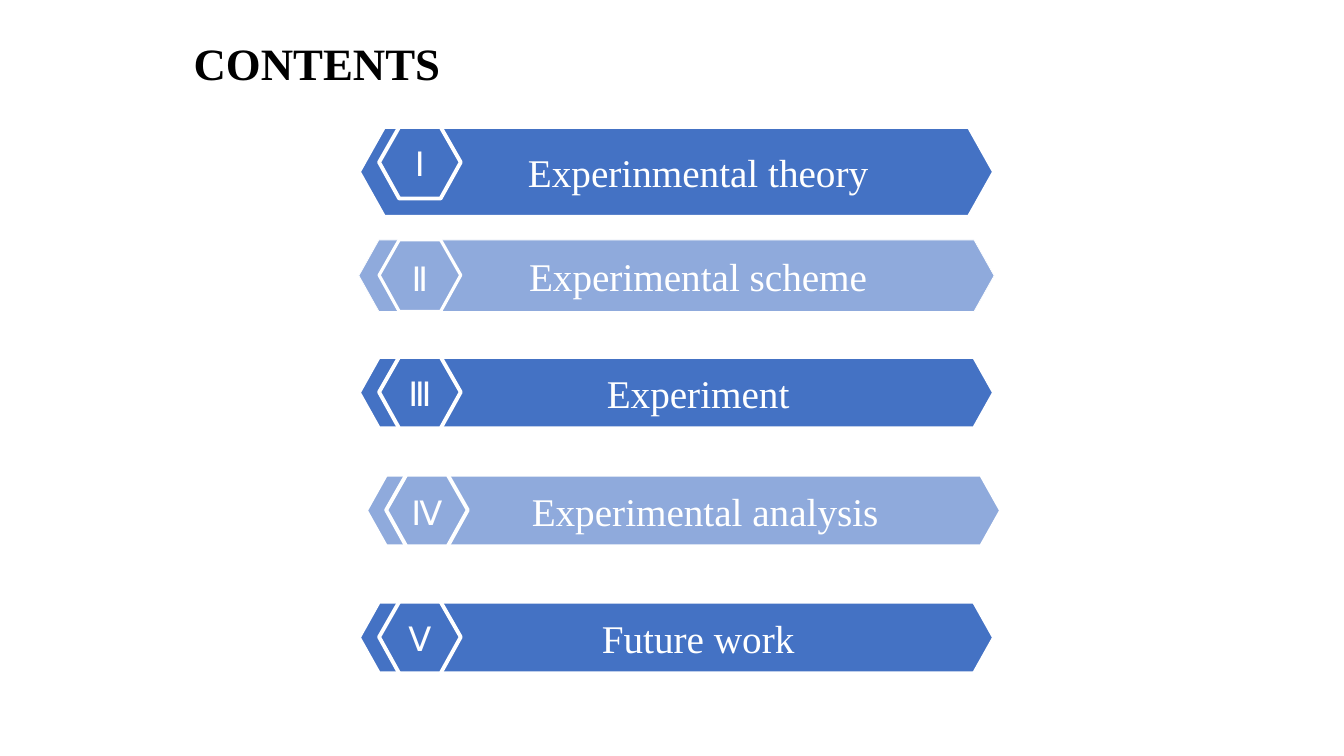
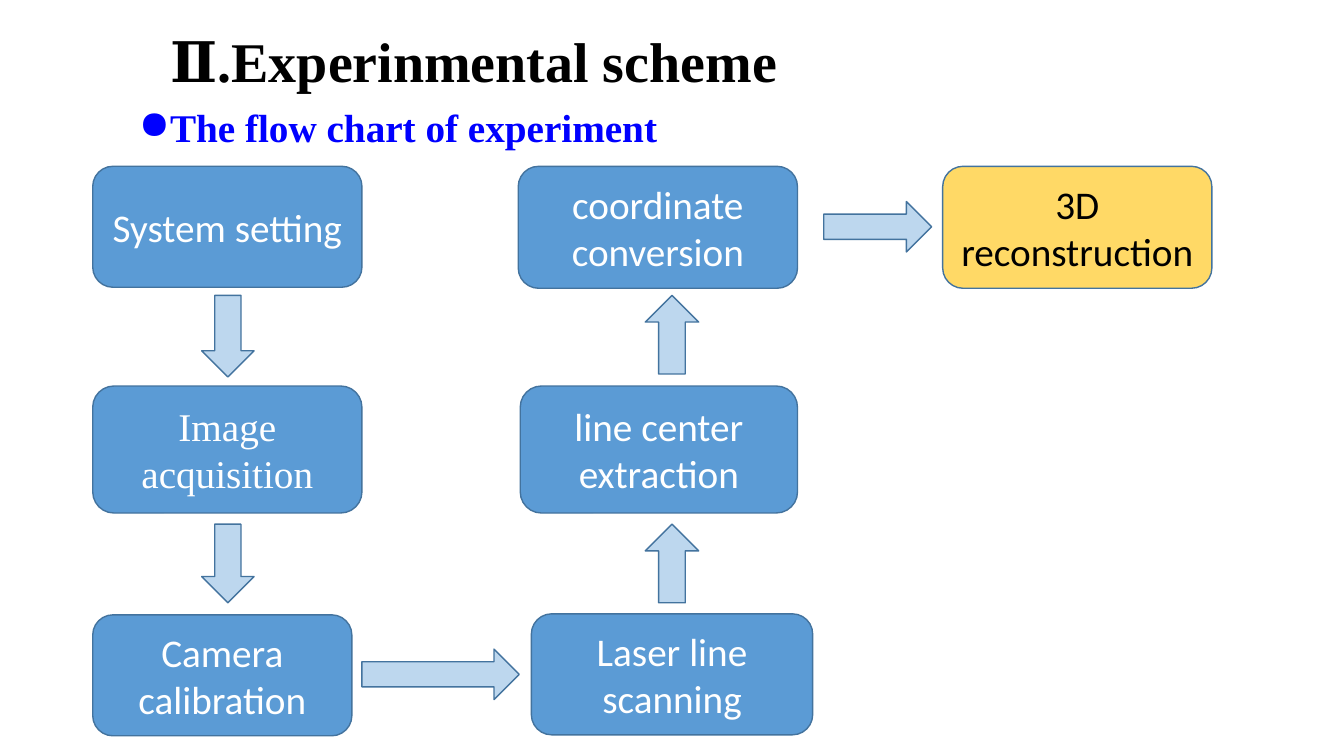
from typing import NamedTuple

from lxml.etree import SubElement
from pptx import Presentation
from pptx.dml.color import RGBColor
from pptx.enum.shapes import MSO_SHAPE as Preset
from pptx.enum.text import MSO_ANCHOR as Anchor, MSO_AUTO_SIZE as AutoSize, PP_ALIGN as Align
from pptx.oxml.ns import qn
from pptx.util import Emu, Pt

# Shared scale, fonts and colours
PX = 9144  # one px is a hundredth of an inch
SERIF, SANS = "Times New Roman", "Calibri"
WHITE, BLACK, BULLET_BLUE = "FFFFFF", "000000", "0000FF"
DARK_BAND, LIGHT_BAND = "4472C4", "8FAADC"
STEP_BLUE, RESULT_YELLOW, ARROW_BLUE, OUTLINE = "5B9BD5", "FFD966", "BDD7EE", "43739E"


class Chapter(NamedTuple):
    numeral: str
    name: str
    top: int
    left: int = 356
    height: int = 71
    band_line: float = 2.75
    badge_line: float = 2.75


class Step(NamedTuple):
    text: str
    left: int
    top: int
    width: int
    height: int
    fill: str = STEP_BLUE
    color: str = WHITE
    font: str = SANS


class Arrow(NamedTuple):
    preset: Preset
    left: int
    top: int
    width: int
    height: int


CHAPTERS = [
    Chapter("Ⅰ", "Experinmental theory", 126, height=89),
    Chapter("Ⅱ", "Experimental scheme", 238, band_line=0.5, badge_line=2.25),
    Chapter("Ⅲ", "Experiment", 354),
    Chapter("Ⅳ", "Experimental analysis", 471, left=363),
    Chapter("Ⅴ", "Future work", 597),
]

STEPS = [
    Step("System setting", 92, 165, 267, 120),
    Step("Image acquisition", 92, 383, 267, 126, font=SERIF),
    Step("Camera calibration", 92, 610, 257, 120),
    Step("Laser line scanning", 527, 609, 279, 120),
    Step("line center extraction", 516, 383, 275, 126),
    Step("coordinate conversion", 514, 165, 277, 121),
    Step("3D reconstruction", 935, 165, 267, 121, RESULT_YELLOW, BLACK),
]

ARROWS = [
    Arrow(Preset.DOWN_ARROW, 200, 293, 52, 81),
    Arrow(Preset.DOWN_ARROW, 200, 520, 52, 78),
    Arrow(Preset.RIGHT_ARROW, 359, 644, 156, 50),
    Arrow(Preset.UP_ARROW, 640, 520, 53, 78),
    Arrow(Preset.UP_ARROW, 640, 293, 53, 78),
    Arrow(Preset.RIGHT_ARROW, 817, 200, 107, 50),
]


def px(*lengths: int) -> list[Emu]:
    return [Emu(length * PX) for length in lengths]


def rgb(color: str) -> RGBColor:
    return RGBColor.from_string(color)


def write(shape, text: str, *, size: int = 28, font: str = SERIF, color: str = WHITE,
          bold: bool = False, align: Align = Align.CENTER, anchor: Anchor = Anchor.MIDDLE,
          insets: tuple[int, int, int, int] = (10, 5, 10, 5), spacing: float = 1.0,
          wrap: bool = True, bullet: str = "", indent: int = 0) -> None:
    frame = shape.text_frame
    frame.auto_size = AutoSize.NONE
    frame.word_wrap, frame.vertical_anchor = wrap, anchor
    (frame.margin_left, frame.margin_top,
     frame.margin_right, frame.margin_bottom) = px(*insets)
    frame.text = text
    paragraph = frame.paragraphs[0]
    paragraph.alignment, paragraph.line_spacing = align, spacing
    if bullet:
        properties = paragraph._p.get_or_add_pPr()
        properties.set("marL", str(indent * PX))
        properties.set("indent", str(-indent * PX))
        SubElement(properties, qn("a:buChar")).set("char", bullet)
    style = paragraph.runs[0].font
    style.name, style.size, style.bold = font, Pt(size), bold
    style.color.rgb = rgb(color)


def paint(shape, fill: str, line: str, width: float) -> None:
    shape.shadow.inherit = False
    shape.fill.solid()
    shape.fill.fore_color.rgb = rgb(fill)
    shape.line.color.rgb = rgb(line)
    shape.line.width = Pt(width)


def add_titled_slide(deck, title: str, left: int, top: int, size: int):
    slide = deck.slides.add_slide(deck.slide_layouts[5])
    heading = slide.shapes.title
    heading.left, heading.top, heading.width, heading.height = px(left, top, 631, 72)
    write(heading, title, size=size, color=BLACK, bold=True, align=Align.LEFT,
          anchor=Anchor.TOP, wrap=False)
    return slide


def draw_chapter(slide, chapter: Chapter, fill: str, numeral_spacing: float) -> None:
    row = slide.shapes.add_group_shape().shapes
    band = row.add_shape(Preset.HEXAGON, *px(chapter.left, chapter.top, 630, chapter.height))
    band.adjustments[0] = 0.28
    paint(band, fill, WHITE, chapter.band_line)
    write(band, chapter.name, insets=(51, 0, 8, 0))

    # Numeral badge: a hexagon 81 wide and 71 high
    left, top = chapter.left + 20, chapter.top
    corners = [(left + x, top + y) for x, y in
               [(20, 0), (61, 0), (81, 35), (61, 71), (20, 71), (0, 35)]]
    outline = row.build_freeform(*corners[0], scale=PX)
    outline.add_line_segments(corners[1:], close=True)
    badge = outline.convert_to_shape()
    paint(badge, fill, WHITE, chapter.badge_line)
    write(badge, chapter.numeral, size=24, font=SANS, insets=(0, 0, 0, 0),
          spacing=numeral_spacing)


def draw_step(slide, step: Step) -> None:
    box = slide.shapes.add_shape(Preset.FLOWCHART_ALTERNATE_PROCESS,
                                 *px(step.left, step.top, step.width, step.height))
    paint(box, step.fill, OUTLINE, 1)
    write(box, step.text, font=step.font, color=step.color)


def draw_arrow(slide, arrow: Arrow) -> None:
    shape = slide.shapes.add_shape(arrow.preset,
                                   *px(arrow.left, arrow.top, arrow.width, arrow.height))
    paint(shape, ARROW_BLUE, OUTLINE, 1)


def build_contents(deck) -> None:
    slide = add_titled_slide(deck, "CONTENTS", 182, 30, 32)
    for index, chapter in enumerate(CHAPTERS):
        fill, spacing = ((DARK_BAND, 1.0), (LIGHT_BAND, 1.1))[index % 2]
        draw_chapter(slide, chapter, fill, spacing)


def build_scheme(deck) -> None:
    slide = add_titled_slide(deck, "Ⅱ.Experinmental scheme", 159, 21, 40)
    subtitle = slide.shapes.add_textbox(*px(128, 98, 1150, 62))
    write(subtitle, "The flow chart of experiment", color=BULLET_BLUE, bold=True,
          align=Align.LEFT, spacing=0.9, bullet="●", indent=24)
    for step in STEPS:
        draw_step(slide, step)
    for arrow in ARROWS:
        draw_arrow(slide, arrow)


def main() -> None:
    deck = Presentation()
    deck.slide_width, deck.slide_height = px(1333, 750)
    build_contents(deck)
    build_scheme(deck)
    deck.save("out.pptx")


if __name__ == "__main__":
    main()
